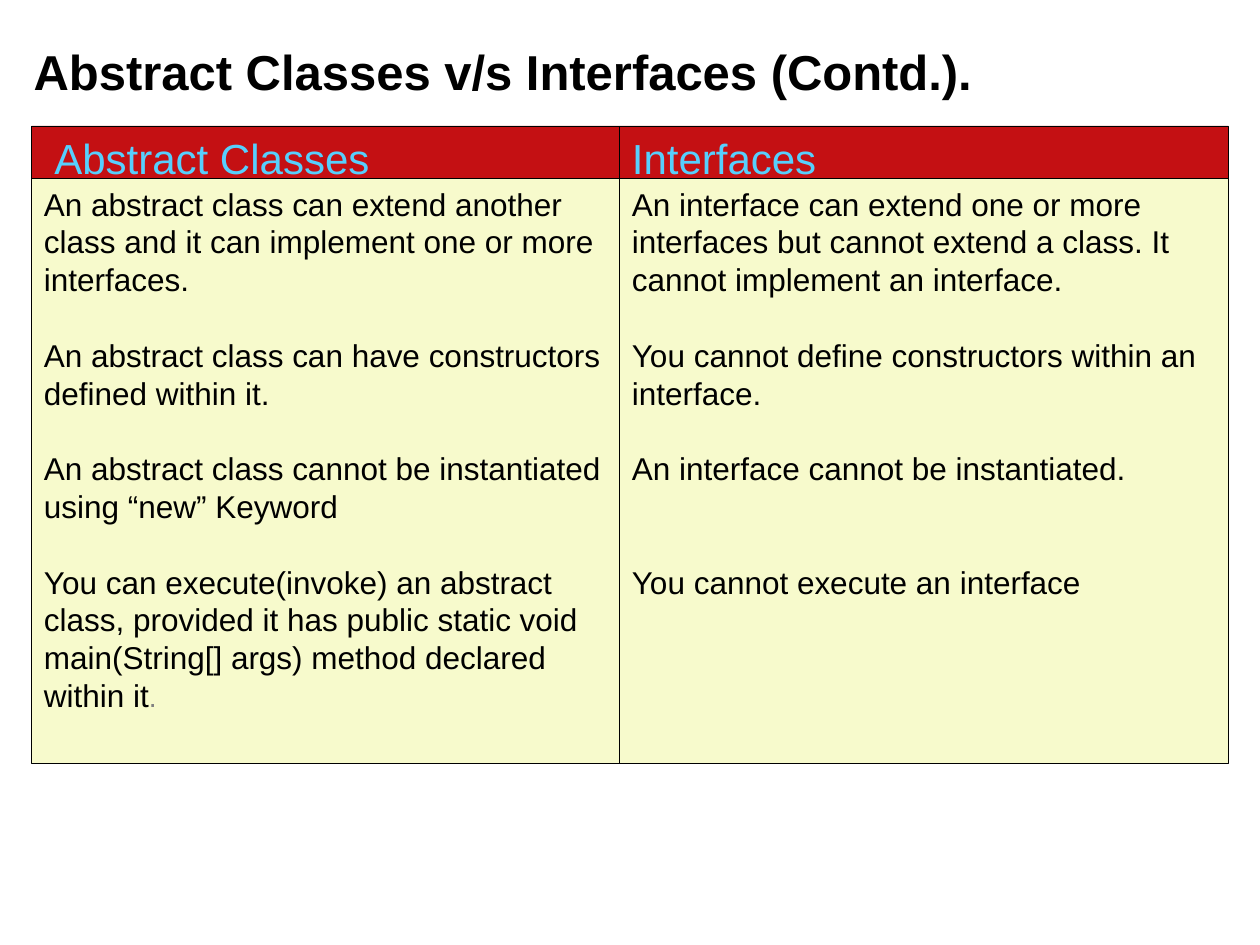
from pptx import Presentation
from pptx.dml.color import RGBColor
from pptx.enum import shapes, text
from pptx.util import Pt

BLACK = RGBColor(0x00, 0x00, 0x00)
RED = RGBColor(0xC4, 0x10, 0x13)
CREAM = RGBColor(0xF7, 0xFA, 0xCC)
SKY = RGBColor(0x57, 0xCF, 0xFD)
GREY = RGBColor(0x80, 0x80, 0x80)

LEFT, MIDDLE, RIGHT = 18, 354, 702
HEAD_TOP, BODY_TOP, BODY_BOTTOM = 72, 102, 436
LINE = 1.2
BODY_SIZE = 18
GAP = BODY_SIZE * LINE

ABSTRACT_POINTS = [
    "An abstract class can extend another class and it can implement one or more interfaces.",
    "An abstract class can have constructors defined within it.",
    "An abstract class cannot be instantiated using “new” Keyword",
    "You can execute(invoke) an abstract class, provided it has "
    "public static void main(String[] args) method declared within it",
]
INTERFACE_POINTS = [
    "An interface can extend one or more interfaces but cannot extend a class. "
    "It cannot implement an interface.",
    "You cannot define constructors within an interface.",
    "An interface cannot be instantiated.",
    "You cannot execute an interface",
]


class SlideBuilder:
    font = "Arial"

    def __init__(self, s):
        self.s = s

    def fill_text(self, tf, lines, size, color, bold=False):
        tf.word_wrap = True
        tf.auto_size = text.MSO_AUTO_SIZE.NONE
        tf.vertical_anchor = text.MSO_ANCHOR.TOP
        tf.text = "\n".join(lines)
        for p in tf.paragraphs:
            p.alignment = text.PP_ALIGN.LEFT
            p.line_spacing = Pt(size * LINE)
            for r in p.runs:
                self.style(r, size, color, bold)

    def style(self, r, size, color, bold=False):
        r.font.name = self.font
        r.font.size = Pt(size)
        r.font.bold = bold
        r.font.color.rgb = color

    def title(self, line, x, y, w, h):
        sp = self.s.shapes.title
        sp.left, sp.top, sp.width, sp.height = Pt(x), Pt(y), Pt(w), Pt(h)
        self.fill_text(sp.text_frame, [line], 28, BLACK, bold=True)

    def cell(self, x, y, w, h, fill):
        sp = self.s.shapes.add_shape(
            shapes.MSO_SHAPE.RECTANGLE, Pt(x), Pt(y), Pt(w), Pt(h))
        sp.shadow.inherit = False
        sp.fill.solid()
        sp.fill.fore_color.rgb = fill
        sp.line.color.rgb = BLACK
        sp.line.width = Pt(0.25)
        return sp

    def label(self, line, x, y, w, h):
        sp = self.s.shapes.add_textbox(Pt(x), Pt(y), Pt(w), Pt(h))
        self.fill_text(sp.text_frame, [line], 24, SKY)

    def points(self, lines, x, w):
        sp = self.cell(x, BODY_TOP, w, BODY_BOTTOM - BODY_TOP, CREAM)
        tf = sp.text_frame
        self.fill_text(tf, lines, BODY_SIZE, BLACK)
        for p in tf.paragraphs[1:]:
            p.space_before = Pt(GAP)
        return tf


def main():
    prs = Presentation()
    prs.slide_width, prs.slide_height = Pt(720), Pt(540)
    b = SlideBuilder(prs.slides.add_slide(prs.slide_layouts[5]))
    b.title("Abstract Classes v/s Interfaces (Contd.).", 12, 20, 684, 41)

    b.cell(LEFT, HEAD_TOP, MIDDLE - LEFT, BODY_TOP - HEAD_TOP, RED)
    b.label("Abstract Classes", 24, HEAD_TOP, 288, 36)
    sp = b.cell(MIDDLE, HEAD_TOP, RIGHT - MIDDLE, 36, RED)
    b.fill_text(sp.text_frame, ["Interfaces"], 24, SKY)

    tf = b.points(ABSTRACT_POINTS, LEFT, MIDDLE - LEFT)
    r = tf.paragraphs[-1].add_run()
    r.text = "."
    b.style(r, 16, GREY)

    tf = b.points(INTERFACE_POINTS, MIDDLE, RIGHT - MIDDLE)
    tf.paragraphs[-1].space_before = Pt(2 * GAP)

    prs.save("out.pptx")


if __name__ == "__main__":
    main()
